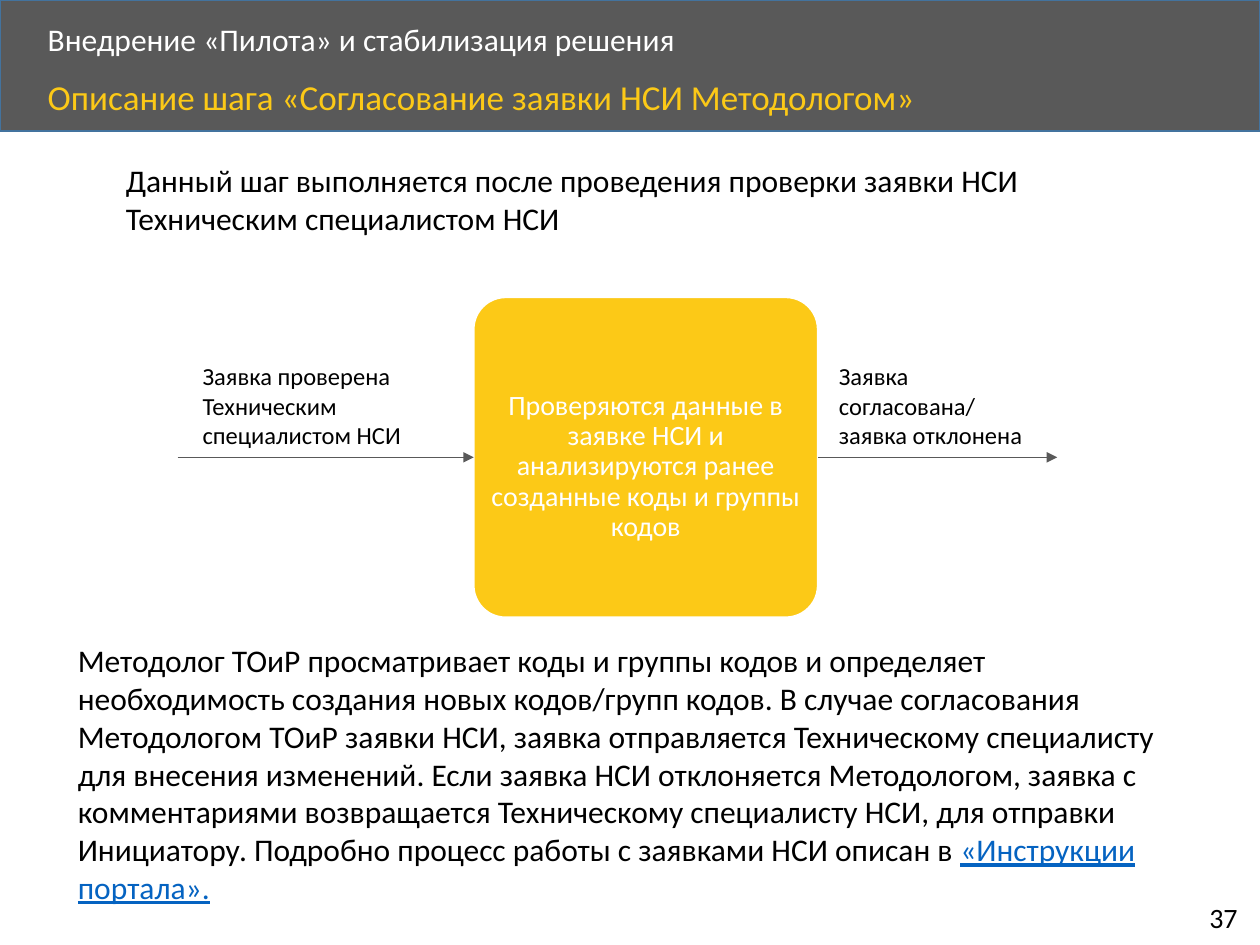
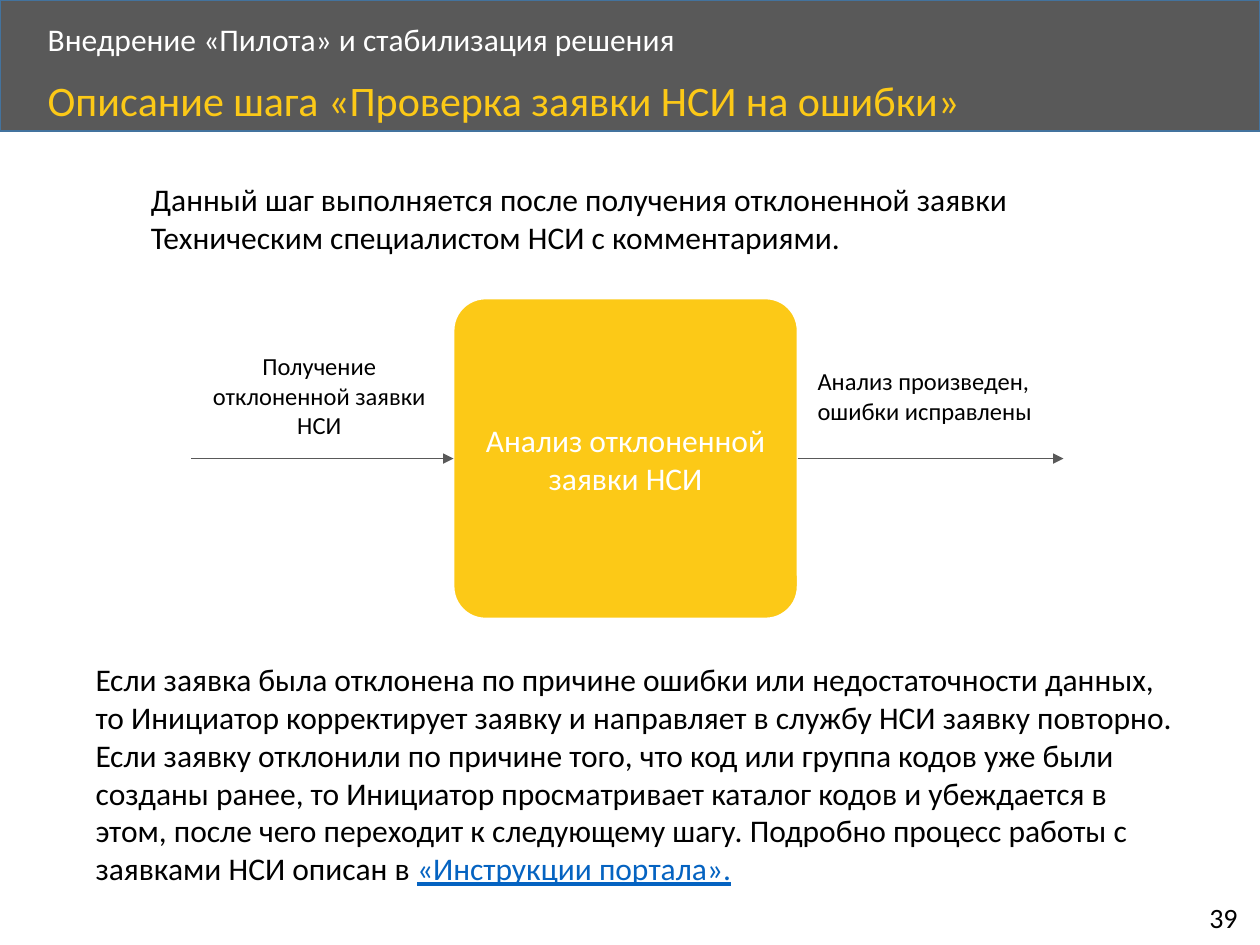
from dataclasses import dataclass

from lxml import etree
from pptx import Presentation
from pptx.dml.color import RGBColor
from pptx.enum import shapes, text
from pptx.oxml import ns
from pptx.util import Pt


@dataclass(frozen=True)
class Theme:
    font: str = "Calibri"
    band: RGBColor = RGBColor(0x59, 0x59, 0x59)
    band_edge: RGBColor = RGBColor(0x43, 0x73, 0x9E)
    accent: RGBColor = RGBColor(0xFC, 0xC9, 0x17)
    light: RGBColor = RGBColor(0xFF, 0xFF, 0xFF)
    ink: RGBColor = RGBColor(0, 0, 0)
    link: RGBColor = RGBColor(0x05, 0x63, 0xC1)
    body_size: int = 18
    number_size: int = 16
    label_size: int = 14
    tight: float = 0.9


theme = Theme()
LEFT, CENTER = text.PP_ALIGN.LEFT, text.PP_ALIGN.CENTER
CARD_WIDTH, CARD_HEIGHT = 196.6, 182.9
SECTION = "Внедрение «Пилота» и стабилизация решения"
MANUAL = "«Инструкции портала»."

steps = [
    {
        "number": "37",
        "title": ("Описание шага «Согласование заявки НСИ Методологом»", 20),
        "intro": ("Данный шаг выполняется после проведения проверки заявки НСИ "
                  "Техническим специалистом НСИ", (64.8, 88.6, 579.6, 72.7)),
        "card": ("Проверяются данные в заявке НСИ и анализируются ранее "
                 "созданные коды и группы кодов", 16, theme.tight),
        "card_at": (270.7, 169.9),
        "card_margin_top": 10.8,
        "arrow_ends": (101.5, 604.1),
        "labels": [
            ("Заявка проверена Техническим специалистом НСИ",
             (108.7, 203, 149, 58.3), LEFT),
            ("Заявка согласована/ заявка отклонена",
             (472.3, 203, 132.5, 58.3), LEFT),
        ],
        "details": ("Методолог ТОиР просматривает коды и группы кодов и определяет "
                    "необходимость создания новых кодов/групп кодов. В случае "
                    "согласования Методологом ТОиР заявки НСИ, заявка отправляется "
                    "Техническому специалисту для внесения изменений. Если заявка "
                    "НСИ отклоняется Методологом, заявка с комментариями "
                    "возвращается Техническому специалисту НСИ, для отправки "
                    "Инициатору. Подробно процесс работы c заявками НСИ описан в ",
                    (37.4, 362.9, 637.9, 181.4)),
    },
    {
        "number": "39",
        "title": ("Описание шага «Проверка заявки НСИ на ошибки»", 24),
        "intro": ("Данный шаг выполняется после получения отклоненной заявки "
                  "Техническим специалистом НСИ с комментариями.",
                  (79.2, 99.4, 573.8, 51.1)),
        "card": ("Анализ отклоненной заявки НСИ", 18, 1.0),
        "card_at": (259.2, 170.6),
        "card_margin_top": 0,
        "arrow_ends": (109.4, 607.7),
        "labels": [
            ("Получение отклоненной заявки НСИ",
             (111.6, 197.3, 141.8, 58.3), CENTER),
            ("Анализ произведен, ошибки исправлены",
             (460.1, 205.9, 147.6, 41), LEFT),
        ],
        "details": ("Если заявка была отклонена по причине ошибки или "
                    "недостаточности данных, то Инициатор корректирует заявку и "
                    "направляет в службу НСИ заявку повторно. Если заявку отклонили "
                    "по причине того, что код или группа кодов уже были созданы "
                    "ранее, то Инициатор просматривает каталог кодов и убеждается в "
                    "этом, после чего переходит к следующему шагу. Подробно процесс "
                    "работы c заявками НСИ описан в ",
                    (47.5, 373.7, 637.2, 138.2)),
    },
]


def write(shape, wording, size, color=theme.ink, align=LEFT, spacing=1.0,
          anchor=text.MSO_ANCHOR.TOP, wrap=True):
    frame = shape.text_frame
    frame.text = wording
    frame.word_wrap = wrap
    frame.vertical_anchor = anchor
    para = frame.paragraphs[0]
    para.alignment = align
    para.line_spacing = spacing
    span = para.runs[0]
    span.font.name = theme.font
    span.font.size = Pt(size)
    span.font.color.rgb = color
    return para


def add_block(page, kind, area, fill, edge):
    block = page.shapes.add_shape(kind, *map(Pt, area))
    block.shadow.inherit = False
    block.fill.solid()
    block.fill.fore_color.rgb = fill
    block.line.color.rgb = edge
    block.line.width = Pt(1)
    return block


deck = Presentation()
deck.slide_width, deck.slide_height = Pt(720), Pt(540)

for step in steps:
    page = deck.slides.add_slide(deck.slide_layouts[6])

    add_block(page, shapes.MSO_SHAPE.RECTANGLE, (0, 0, 720, 74.9),
              theme.band, theme.band_edge)
    section = page.shapes.add_textbox(Pt(20.2), Pt(10.1), Pt(581), Pt(27.4))
    write(section, SECTION, theme.body_size, theme.light,
          spacing=theme.tight, anchor=text.MSO_ANCHOR.MIDDLE)
    title = page.shapes.add_textbox(Pt(20.2), Pt(42.5), Pt(624.2), Pt(32.4))
    write(title, *step["title"], theme.accent, spacing=theme.tight)
    number = page.shapes.add_textbox(Pt(684), Pt(511.2), Pt(33.1), Pt(26.6))
    write(number, step["number"], theme.number_size, wrap=False)

    wording, area = step["intro"]
    intro = page.shapes.add_textbox(*map(Pt, area))
    write(intro, wording, theme.body_size)

    card = add_block(page, shapes.MSO_SHAPE.ROUNDED_RECTANGLE,
                     (*step["card_at"], CARD_WIDTH, CARD_HEIGHT),
                     theme.accent, theme.light)
    card.adjustments[0] = 0.1
    frame = card.text_frame
    frame.margin_left = frame.margin_right = frame.margin_bottom = 0
    frame.margin_top = Pt(step["card_margin_top"])
    wording, size, spacing = step["card"]
    write(card, wording, size, theme.light, CENTER, spacing,
          text.MSO_ANCHOR.MIDDLE)

    start, finish = map(Pt, step["arrow_ends"])
    middle = card.top + card.height // 2
    incoming = page.shapes.add_connector(
        shapes.MSO_CONNECTOR.STRAIGHT, start, middle, card.left, middle)
    incoming.end_connect(card, 1)
    outgoing = page.shapes.add_connector(
        shapes.MSO_CONNECTOR.STRAIGHT, card.left + card.width, middle, finish, middle)
    outgoing.begin_connect(card, 3)
    for arrow in (incoming, outgoing):
        arrow.line.color.rgb = theme.band
        arrow.line.width = Pt(0.5)
        etree.SubElement(arrow.line._get_or_add_ln(), ns.qn("a:tailEnd"),
                         type="triangle")
        etree.SubElement(arrow._element.spPr, ns.qn("a:effectLst"))

    for wording, area, align in step["labels"]:
        label = page.shapes.add_textbox(*map(Pt, area))
        write(label, wording, theme.label_size, align=align)

    wording, area = step["details"]
    details = page.shapes.add_textbox(*map(Pt, area))
    para = write(details, wording, theme.body_size)
    manual = para.add_run()
    manual.text = MANUAL
    manual.font.name = theme.font
    manual.font.size = Pt(theme.body_size)
    manual.font.color.rgb = theme.link
    manual.font.underline = True

deck.save("out.pptx")
